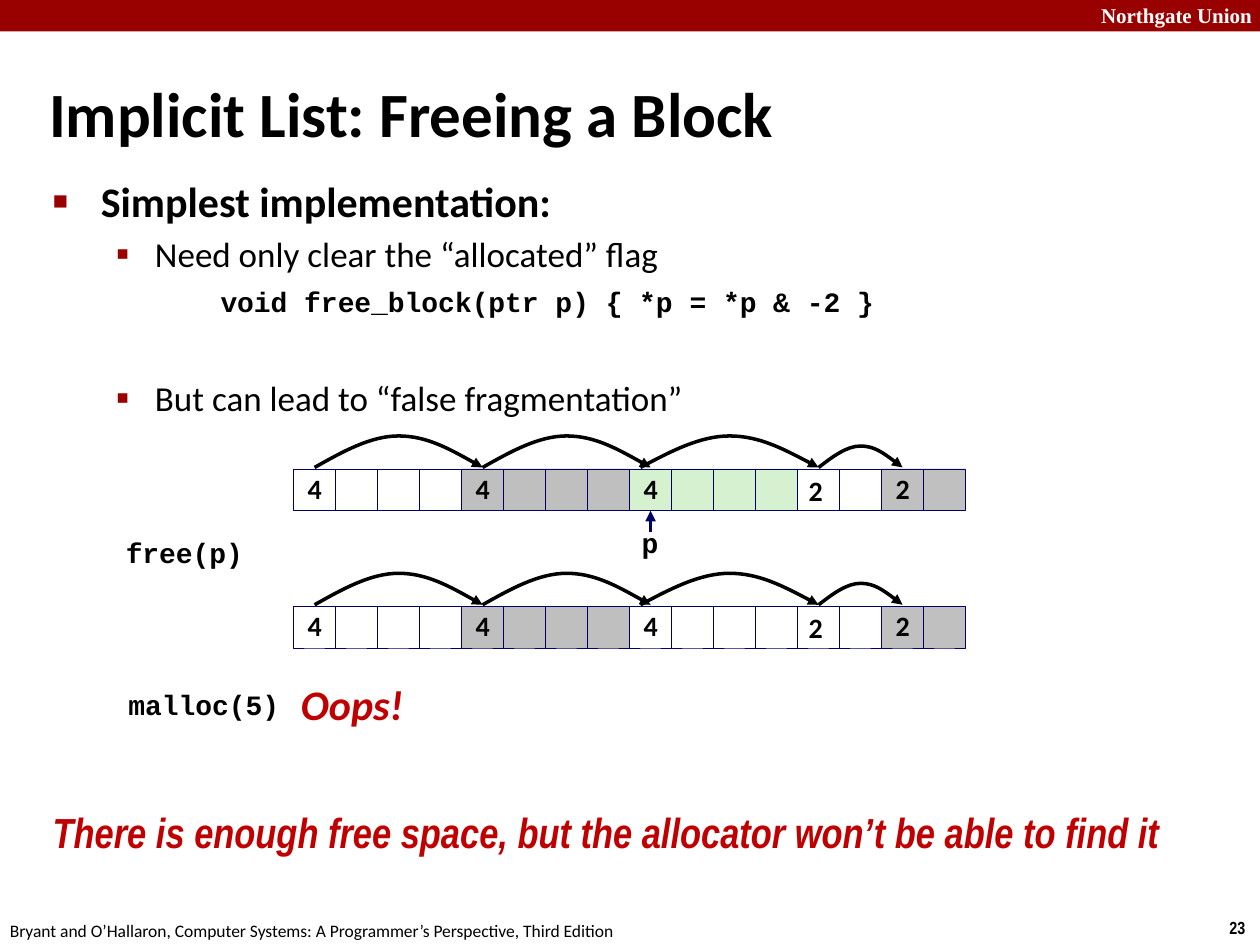
from dataclasses import dataclass

from lxml.etree import SubElement
from pptx import Presentation
from pptx.dml.color import RGBColor
from pptx.enum.shapes import MSO_CONNECTOR, MSO_SHAPE
from pptx.enum.text import MSO_ANCHOR, MSO_AUTO_SIZE, PP_ALIGN
from pptx.oxml.ns import qn
from pptx.util import Inches, Pt


@dataclass(frozen=True)
class Theme:
    black: str = "000000"
    white: str = "FFFFFF"
    banner: str = "990000"
    alert: str = "C00000"
    border: str = "000066"
    used: str = "BFBFBF"
    last: str = "C0C0C0"
    freed: str = "D5F1CF"
    sans: str = "Calibri"
    mono: str = "Courier New"
    narrow: str = "Arial Narrow"
    serif: str = "Times New Roman"
    title: int = 36
    heading: int = 24
    bullet: int = 20
    code: int = 16
    banner_text: int = 12
    footer: int = 10


T = Theme()
CELL = 1 / 3


def rgb(value):
    return RGBColor.from_string(value)


def write(p, text, size=T.code, font=T.sans, color=T.black, bold=True,
          italic=False, spacing=None, align=PP_ALIGN.LEFT):
    p.alignment = align
    if spacing:
        p.line_spacing = spacing
    r = p.add_run()
    r.text = text
    r.font.size, r.font.name = Pt(size), font
    r.font.bold, r.font.italic = bold, italic
    r.font.color.rgb = rgb(color)


def add_label(shapes, box, text, wrap=False, **style):
    tb = shapes.add_textbox(*map(Inches, box))
    tf = tb.text_frame
    tf.word_wrap = wrap
    write(tf.paragraphs[0], text, **style)


def add_arrowhead(shape, color):
    shape.line.color.rgb = rgb(color)
    shape.line.width = Pt(2)
    ln = shape.element.spPr.find(qn("a:ln"))
    SubElement(ln, qn("a:tailEnd"), type="triangle")


def set_bullet(p, char, percent, margin, hanging):
    pPr = p._p.get_or_add_pPr()
    pPr.set("marL", str(Inches(margin)))
    pPr.set("indent", str(-Inches(hanging)))
    if not char:
        SubElement(pPr, qn("a:buNone"))
        return
    SubElement(SubElement(pPr, qn("a:buClr")), qn("a:srgbClr"), val=T.banner)
    SubElement(pPr, qn("a:buSzPct"), val=str(percent * 1000))
    SubElement(pPr, qn("a:buFont"), typeface="Arial")
    SubElement(pPr, qn("a:buChar"), char=char)


def place(shape, box):
    shape.left, shape.top, shape.width, shape.height = map(Inches, box)
    shape.text_frame.auto_size = MSO_AUTO_SIZE.NONE
    return shape.text_frame


def add_title(s, box):
    tf = place(s.shapes.title, box)
    tf.vertical_anchor = MSO_ANCHOR.MIDDLE
    write(tf.paragraphs[0], "Implicit List: Freeing a Block", size=T.title)


def add_body(s, box):
    tf = place(s.placeholders[1], box)
    sub = dict(size=T.bullet, bold=False)
    top_mark, sub_mark = ("■", 60, 0.38, 0.38), ("▪", 110, 0.81, 0.31)
    items = [
        ("Simplest implementation:", 0, top_mark, None, dict(size=T.heading)),
        ("Need only clear the “allocated” flag", 1, sub_mark, None, sub),
        ("void free_block(ptr p) { *p = *p & -2 }", 2, (None, 0, 1.33, 0), 5.5,
         dict(font=T.mono)),
        ("But can lead to “false fragmentation”", 1, sub_mark, 33.5, sub),
    ]
    for i, (text, level, mark, before, style) in enumerate(items):
        p = tf.add_paragraph() if i else tf.paragraphs[0]
        p.level = level
        if before:
            p.space_before = Pt(before)
        write(p, text, **style)
        set_bullet(p, *mark)


def add_banner(s, box):
    left, top, width, height = box
    bar = s.shapes.add_shape(MSO_SHAPE.RECTANGLE, *map(Inches, box))
    bar.shadow.inherit = False
    bar.fill.solid()
    bar.fill.fore_color.rgb = rgb(T.banner)
    bar.line.fill.background()
    add_label(s.shapes, (left + width - 1.36, top - 0.03, 1.43, 0.3), "Northgate Union",
              size=T.banner_text, font=T.serif, color=T.white)


def add_footer(s, box):
    left, top, width, height = box
    add_label(s.shapes, (left - 0.02, top + 0.02, 5.08, height),
              "Bryant and O’Hallaron, Computer Systems: A Programmer’s Perspective, Third Edition",
              size=T.footer, bold=False)
    add_label(s.shapes, (left + width - 0.34, top, 0.34, height), "23",
              size=T.footer, font=T.narrow)


def add_cell(shapes, left, top, color, text):
    cell = shapes.add_shape(MSO_SHAPE.RECTANGLE, *map(Inches, (left, top, CELL, CELL)))
    cell.shadow.inherit = False
    cell.fill.solid()
    cell.fill.fore_color.rgb = rgb(color)
    cell.line.color.rgb = rgb(T.border)
    cell.line.width = Pt(0.25)
    if text:
        tf = cell.text_frame
        tf.word_wrap = False
        tf.vertical_anchor = MSO_ANCHOR.MIDDLE
        write(tf.paragraphs[0], text, spacing=0.98, align=PP_ALIGN.CENTER)
    return cell


def add_arc(shapes, start, end, base, rise):
    heights = (0.5, 1, 1, 1, 0.5, 0)
    points = [(Inches(start + (end - start) * at), Inches(base - rise * h))
              for at, h in zip((1/6, 1/3, 1/2, 2/3, 5/6, 1), heights)]
    builder = shapes.build_freeform(Inches(start), Inches(base))
    builder.add_line_segments(points, close=False)
    arc = builder.convert_to_shape()
    arc.shadow.inherit = False
    arc.fill.background()
    path = arc.element.find(".//" + qn("a:path"))
    segments = path.findall(qn("a:lnTo"))
    for half in (segments[:3], segments[3:]):
        curve = SubElement(path, qn("a:cubicBezTo"))
        for segment in half:
            curve.append(segment[0])
            path.remove(segment)
    add_arrowhead(arc, T.black)


def add_heap(s, left, top, third_color):
    shapes = s.shapes.add_group_shape().shapes
    blocks = [(4, T.white), (4, T.used), (4, third_color), (2, T.white), (2, T.last)]
    headers, column = [], 0
    for i, (size, color) in enumerate(blocks):
        for k in range(size):
            text = str(size) if k == 0 and i != 3 else None
            cell = add_cell(shapes, left + (column + k) * CELL, top, color, text)
            if k == 0:
                headers.append(cell)
        column += size
    add_label(shapes, (left + 12 * CELL - 0.01, top, 0.31, 0.37), "2", spacing=0.98)
    center = left + CELL / 2
    for i, (size, _) in enumerate(blocks[:-1]):
        start = center - (0.08 if i == 2 else 0)
        end = center + size * CELL
        add_arc(shapes, start, end, top - 0.01, 0.25 if size == 4 else 0.17)
        center = end
    return headers


def add_pointer(s, cell):
    x, bottom = cell.left + cell.width // 2, cell.top + cell.height
    arrow = s.shapes.add_connector(MSO_CONNECTOR.STRAIGHT, x, bottom + Inches(0.17), x, bottom)
    arrow.end_connect(cell, 2)
    add_arrowhead(arrow, T.border)
    SubElement(arrow.element.spPr, qn("a:effectLst"))
    add_label(s.shapes, (x.inches if hasattr(x, "inches") else x / Inches(1) - 0.17,
                         bottom / Inches(1) + 0.09, 0.33, 0.36),
              "p", font=T.mono, spacing=0.94)


def main():
    prs = Presentation()
    prs.slide_width, prs.slide_height = Inches(10), Inches(7.5)
    s = prs.slides.add_slide(prs.slide_layouts[1])
    add_banner(s, (0, 0, 10, 0.25))
    add_footer(s, (0, 7.23, 10, 0.27))
    add_title(s, (0.29, 0.58, 7.88, 0.63))
    add_body(s, (0.32, 1.34, 9.09, 4.75))
    headers = add_heap(s, 2.33, 3.72, T.freed)
    add_pointer(s, headers[2])
    add_heap(s, 2.33, 4.81, T.white)
    call = dict(font=T.mono, spacing=0.94)
    add_label(s.shapes, (0.9, 4.22, 1.14, 0.36), "free(p)", **call)
    add_label(s.shapes, (0.92, 5.43, 1.41, 0.36), "malloc(5)", **call)
    warning = dict(size=T.heading, color=T.alert, italic=True)
    add_label(s.shapes, (2.29, 5.33, 1.03, 0.5), "Oops!", spacing=1.02, **warning)
    add_label(s.shapes, (0.32, 6.35, 9.13, 0.81),
              "There is enough free space, but the allocator won’t be able to find it",
              wrap=True, font=T.narrow, **warning)
    prs.save("out.pptx")


if __name__ == "__main__":
    main()
